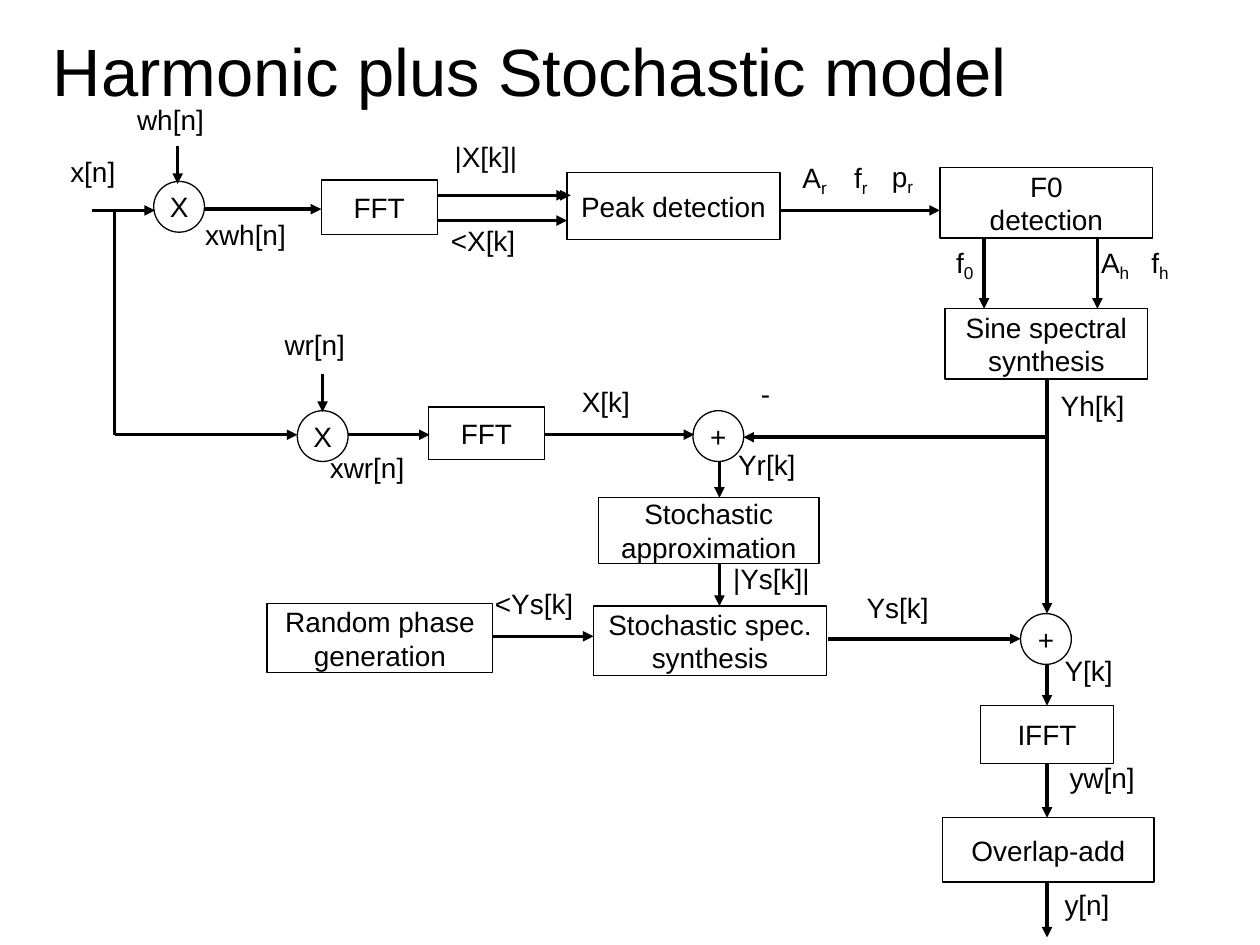
from pptx import Presentation
from pptx.dml.color import RGBColor
from pptx.enum.shapes import MSO_CONNECTOR, MSO_SHAPE
from pptx.enum.text import MSO_ANCHOR, MSO_AUTO_SIZE, PP_ALIGN
from pptx.oxml.ns import qn
from pptx.util import Inches, Pt
from lxml.etree import SubElement

BLACK = RGBColor(0x00, 0x00, 0x00)
FONT = "Arial"
COLS, ROWS = 100, 75  # grid over the slide
WIDE, HIGH = Inches(10), Inches(7.5)
RING = 4.03  # size of a round node, in cells


def across(n):
    return round(WIDE * n / COLS)


def down(n):
    return round(HIGH * n / ROWS)


def place(box, x, y, w, h):
    """Cells within a region box, as slide lengths."""
    left, top = box[:2]
    return across(left + x), down(top + y), across(w), down(h)


def style(font, size=16):
    font.size, font.name, font.color.rgb = Pt(size), FONT, BLACK


def inset(frame, side, edge):
    frame.margin_left = frame.margin_right = Inches(side)
    frame.margin_top = frame.margin_bottom = Inches(edge)


def node(slide, box, kind, x, y, w, h, text):
    shape = slide.shapes.add_shape(kind, *place(box, x, y, w, h))
    shape.shadow.inherit = False
    shape.fill.background()
    shape.line.color.rgb, shape.line.width = BLACK, Pt(0.75)
    frame = shape.text_frame
    frame.text = text
    frame.vertical_anchor = MSO_ANCHOR.MIDDLE
    for para in frame.paragraphs:
        para.alignment = PP_ALIGN.CENTER
        style(para.font)
    return frame


def block(slide, box, x, y, w, h, text):
    frame = node(slide, box, MSO_SHAPE.RECTANGLE, x, y, w, h, text)
    frame.word_wrap = True
    inset(frame, 0.1, 0.05)


def ring(slide, box, x, y, sign):
    frame = node(slide, box, MSO_SHAPE.OVAL, x, y, RING, RING, sign)
    frame.word_wrap = False
    inset(frame, 0, 0)


def label(slide, box, x, y, w, text, sub=""):
    area = place(box, x, y, w, 4.5 if sub else 4.2)
    frame = slide.shapes.add_textbox(*area).text_frame
    frame.word_wrap = False
    frame.auto_size = MSO_AUTO_SIZE.SHAPE_TO_FIT_TEXT
    inset(frame, 0.1, 0.05)
    para = frame.paragraphs[0]
    para.line_spacing = 0.93
    style(para.font)
    para.add_run().text = text
    if sub:
        run = para.add_run()
        run.text = sub
        run.font.size = Pt(16.8)
        run.font._element.set("baseline", "-20000")


def wire(slide, box, x, y, dx=0, dy=0, head=True):
    left, top = box[:2]
    line = slide.shapes.add_connector(
        MSO_CONNECTOR.STRAIGHT, across(left + x), down(top + y),
        across(left + x + dx), down(top + y + dy))
    line.line.color.rgb, line.line.width = BLACK, Pt(0)
    if head:
        SubElement(line.line._get_or_add_ln(), qn("a:tailEnd"), type="triangle")
    SubElement(line._element.spPr, qn("a:effectLst"))


def title(slide, box, text):
    shape = slide.shapes.title
    shape.left, shape.top, shape.width, shape.height = place(box, 0, 0, *box[2:])
    frame = shape.text_frame
    frame.text = text
    frame.word_wrap = True
    frame.vertical_anchor = MSO_ANCHOR.MIDDLE
    inset(frame, 0, 0)
    para = frame.paragraphs[0]
    para.alignment = PP_ALIGN.LEFT
    style(para.font, 38.2)


def peaks(slide, box):
    # Window, transform and peak picking
    ring(slide, box, 8.2, 6.4, "X")
    block(slide, box, 21.5, 6.3, 9.2, 4.3, "FFT")
    block(slide, box, 41, 5.7, 16.9, 5.3, "Peak detection")
    for x, y, w, text in ((0.6, 4, 6.6, "x[n]"), (5.9, -0.1, 7.3, "wh[n]"),
                          (11.3, 9, 8.6, "xwh[n]"), (31.1, 2.8, 8.4, "|X[k]|"),
                          (30.8, 9.5, 8.5, "<X[k]")):
        label(slide, box, x, y, w, text)
    for x, y, w, text in ((58.7, 4.2, 4.6, "A"), (62.8, 4.2, 3.5, "f"),
                          (65.8, 4.1, 4.3, "p")):
        label(slide, box, x, y, w, text, "r")
    wire(slide, box, 10.1, 3.6, dy=3)
    for x, y, w in ((3.3, 8.7, 5), (12.2, 8.6, 9.3), (30.7, 7.5, 10.3),
                    (31, 7.5, 10.3), (30.7, 9.5, 10.3), (57.9, 8.7, 12.7)):
        wire(slide, box, x, y, dx=w)


def sines(slide, box):
    # Pitch and harmonic synthesis
    block(slide, box, 0.6, 0.3, 16.9, 5.6, "F0\ndetection")
    block(slide, box, 1, 11.5, 16.1, 5.6, "Sine spectral\nsynthesis")
    for x in (4.1, 13.1):
        wire(slide, box, x, 5.9, dy=5.6)
    for x, w, text, sub in ((0.9, 3.9, "f", "0"), (12.4, 5, "A", "h"),
                            (16.4, 3.9, "f", "h")):
        label(slide, box, x, 5.9, w, text, sub)


def residue(slide, box):
    # Second window and transform, less the harmonic part
    ring(slide, box, 14.6, 7.6, "X")
    ring(slide, box, 46, 7.6, "+")
    block(slide, box, 25, 7.3, 9.2, 4.2, "FFT")
    for x, y, w, text in ((12.6, 0.7, 7.2, "wr[n]"), (16.2, 10.5, 8.6, "xwr[n]"),
                          (36.2, 5.3, 8.6, "X[k]"), (50.4, 4.6, 5.4, "-"),
                          (48.6, 10.3, 8.5, "Yr[k]")):
        label(slide, box, x, y, w, text)
    wire(slide, box, 0.1, -8.3, dy=17.8, head=False)
    wire(slide, box, 16.6, 4.7, dy=3)
    for x, w in ((0.1, 14.5), (18.6, 6.5), (34.2, 11.9)):
        wire(slide, box, x, 9.5, dx=w)
    wire(slide, box, 74.1, 9.7, dx=-24.1)


def noise(slide, box):
    # Stochastic approximation and synthesis
    block(slide, box, 0.2, 11.9, 17.9, 5.5, "Random phase generation")
    block(slide, box, 26.1, 12.1, 18.5, 5.5, "Stochastic spec. synthesis")
    block(slide, box, 26.5, 3.5, 17.5, 5.2, "Stochastic approximation")
    for x, y, w, text in ((17.3, 10.3, 8.5, "<Ys[k]"), (36.2, 8.3, 8.4, "|Ys[k]|"),
                          (46.8, 10.6, 8.5, "Ys[k]")):
        label(slide, box, x, y, w, text)
    for y, h in ((0.6, 2.9), (8.7, 3.4)):
        wire(slide, box, 36.1, y, dy=h)
    wire(slide, box, 18.1, 14.5, dx=8)
    wire(slide, box, 44.7, 14.7, dx=15.3)


def output(slide, box):
    # Sum, inverse transform and overlap-add
    ring(slide, box, 7, 18.7, "+")
    block(slide, box, 3.8, 26, 10.6, 4.6, "IFFT")
    block(slide, box, 0.8, 34.9, 16.8, 5.1, "Overlap-add")
    for x, y, w, text in ((9.2, 0.6, 8.5, "Yh[k]"), (9.5, 21.6, 8.5, "Y[k]"),
                          (9.9, 30.1, 10.1, "yw[n]"), (9.5, 40.2, 8.1, "y[n]")):
        label(slide, box, x, y, w, text)
    for y, h in ((0.1, 18.6), (22.7, 3.3), (30.6, 4.3), (39.9, 4.5)):
        wire(slide, box, 9.1, y, dy=h)


def main():
    deck = Presentation()
    deck.slide_width, deck.slide_height = WIDE, HIGH
    slide = deck.slides.add_slide(deck.slide_layouts[5])
    # Boxes are left, top, width and height in cells
    title(slide, (4.2, 1.1, 95.8, 8.9), "Harmonic plus Stochastic model")
    peaks(slide, (4, 8, 70, 14))
    sines(slide, (74, 13, 21, 17))
    residue(slide, (9, 25, 74, 15))
    noise(slide, (21, 36, 60, 18))
    output(slide, (74, 30, 20, 45))
    deck.save("out.pptx")


if __name__ == "__main__":
    main()
